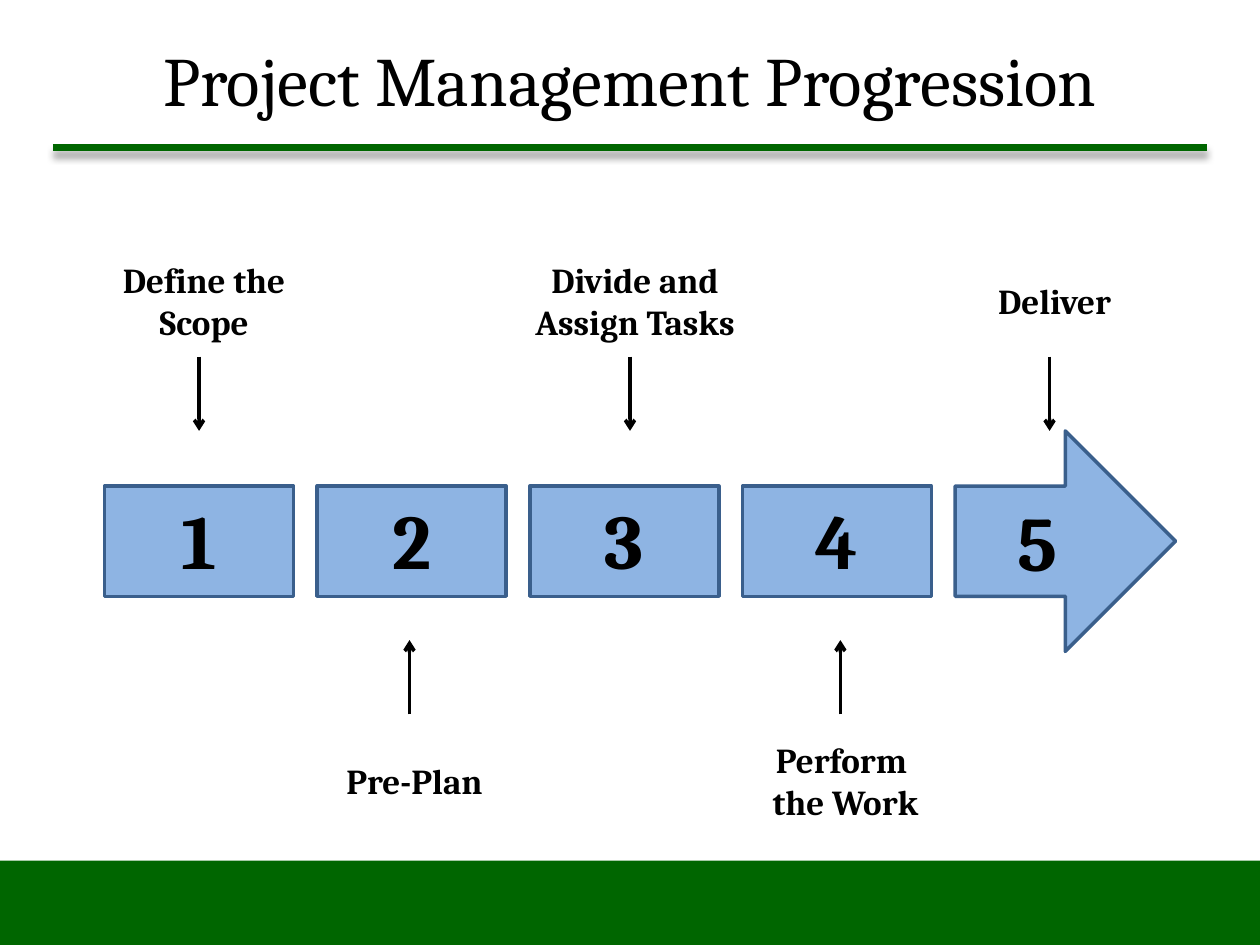
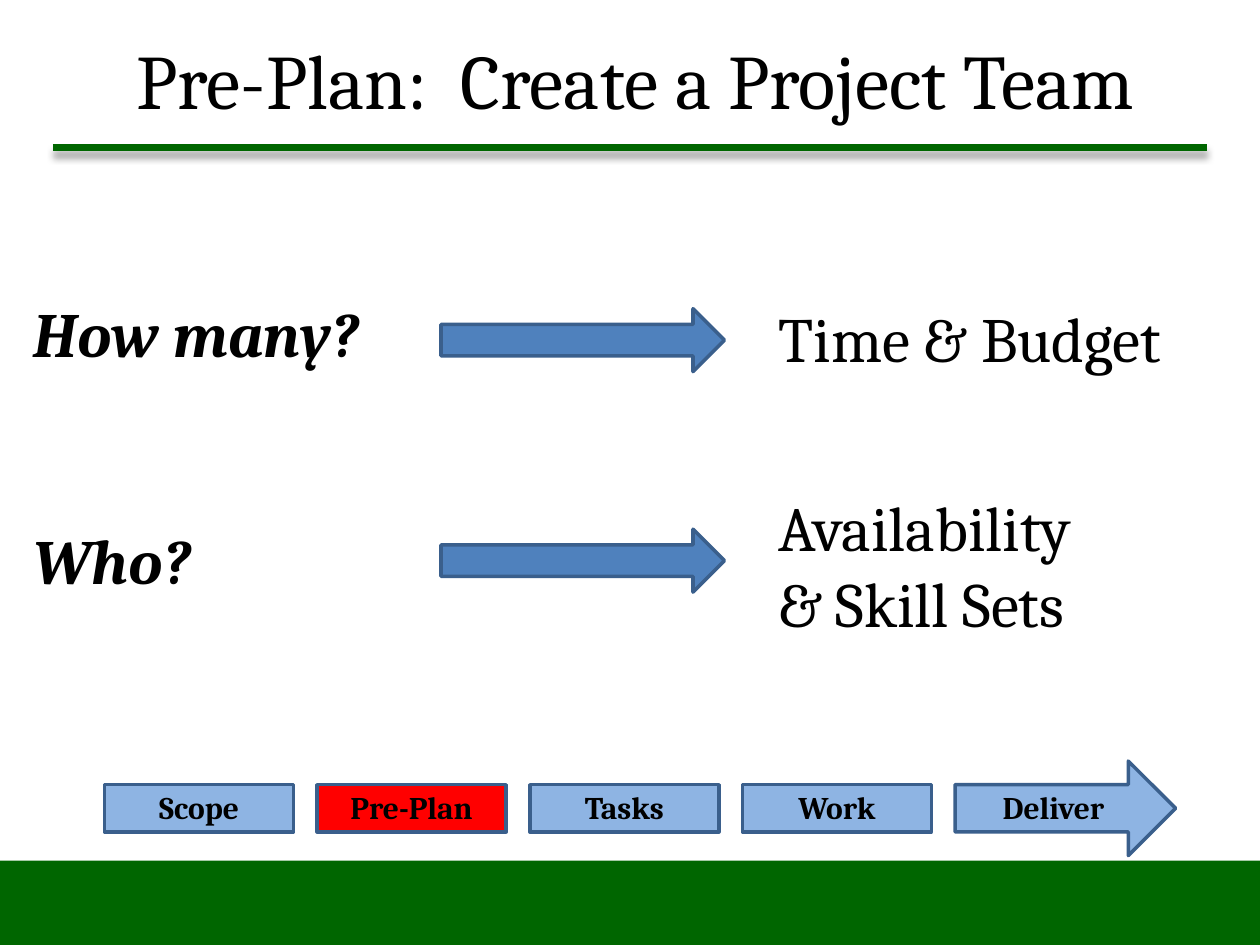
from dataclasses import dataclass

import lxml.etree
import pptx
import pptx.dml.color
import pptx.enum.shapes
import pptx.enum.text
import pptx.oxml
import pptx.oxml.ns
import pptx.util

Inches = pptx.util.Inches
Pt = pptx.util.Pt
Color = pptx.dml.color.RGBColor.from_string
Shape = pptx.enum.shapes.MSO_SHAPE
Align = pptx.enum.text.PP_ALIGN
Anchor = pptx.enum.text.MSO_ANCHOR
AutoSize = pptx.enum.text.MSO_AUTO_SIZE
qn = pptx.oxml.ns.qn


@dataclass(frozen=True)
class Theme:
    font: str = "Cambria"
    ink: str = "000000"
    green: str = "006600"
    step: str = "8EB4E3"
    current: str = "FF0000"
    arrow: str = "4F81BD"
    outline: str = "3A5F8C"
    title_size: float = 44
    number_size: float = 44
    body_size: float = 36
    label_size: float = 20
    step_size: float = 18
    outline_width: float = 2
    rule_width: float = 4


def write_text(frame, paragraphs, *, font, size, color, bold=False, italic=False,
               align=Align.LEFT, anchor=Anchor.TOP, gap=0):
    """Fill a text frame; gap is the space in points between paragraphs."""
    frame.word_wrap = True
    frame.vertical_anchor = anchor
    for index, text in enumerate(paragraphs):
        paragraph = frame.add_paragraph() if index else frame.paragraphs[0]
        paragraph.text = text
        paragraph.alignment = align
        paragraph.space_before = Pt(gap if index else 0)
        for run in paragraph.runs:
            run.font.name = font
            run.font.size = Pt(size)
            run.font.bold = bold
            run.font.italic = italic
            run.font.color.rgb = Color(color)


class Deck:
    STEP_LEFT, ARROW_LEFT = 0.83, 7.58
    STEP_WIDTH, ARROW_WIDTH = 1.5, 1.75

    def __init__(self, theme):
        self.theme = theme
        self.presentation = pptx.Presentation()
        self.presentation.slide_width = Inches(10)
        self.presentation.slide_height = Inches(7.5)
        self.slide = None

    def new_slide(self, title, left=0.5, width=9, size=None):
        self.slide = self.presentation.slides.add_slide(self.presentation.slide_layouts[6])
        self.text(left, 0, width, 1.25, [title], grow=False, anchor=Anchor.MIDDLE,
                  size=size or self.theme.title_size, align=Align.CENTER)
        # Footer band and title rule
        self.shape(Shape.RECTANGLE, 0, 6.83, 10, 0.67, self.theme.green, outlined=False)
        self.line(0.42, 1.17, 9.58, 1.17, self.theme.green, self.theme.rule_width, shadow=True)

    def format_text(self, frame, paragraphs, **style):
        write_text(frame, paragraphs, font=self.theme.font, color=self.theme.ink, **style)

    def text(self, left, top, width, height, paragraphs, grow=True, **style):
        box = self.slide.shapes.add_textbox(Inches(left), Inches(top), Inches(width), Inches(height))
        self.format_text(box.text_frame, paragraphs, **style)
        box.text_frame.auto_size = AutoSize.SHAPE_TO_FIT_TEXT if grow else AutoSize.NONE

    def shape(self, kind, left, top, width, height, fill, outlined=True, label=None, **style):
        shape = self.slide.shapes.add_shape(
            kind, Inches(left), Inches(top), Inches(width), Inches(height))
        shape.shadow.inherit = False
        shape.fill.solid()
        shape.fill.fore_color.rgb = Color(fill)
        if outlined:
            shape.line.color.rgb = Color(self.theme.outline)
            shape.line.width = Pt(self.theme.outline_width)
        else:
            shape.line.fill.background()
        if label:
            self.format_text(shape.text_frame, [label], **style)

    def line(self, x1, y1, x2, y2, color, width, arrow=False, shadow=False):
        line = self.slide.shapes.add_connector(
            pptx.enum.shapes.MSO_CONNECTOR.STRAIGHT,
            Inches(x1), Inches(y1), Inches(x2), Inches(y2))
        line.line.color.rgb = Color(color)
        line.line.width = Pt(width)
        if arrow:
            lxml.etree.SubElement(line.line._get_or_add_ln(), qn("a:tailEnd"), type="arrow")
        properties = line._element.spPr
        effects = lxml.etree.SubElement(properties, qn("a:effectLst"))
        if shadow:
            outer = lxml.etree.SubElement(
                effects, qn("a:outerShdw"), blurRad=str(Pt(4)), dist=str(Pt(4)),
                dir="5400000", rotWithShape="0")
            shade = lxml.etree.SubElement(outer, qn("a:srgbClr"), val=self.theme.ink)
            lxml.etree.SubElement(shade, qn("a:alpha"), val="35000")

    def step_row(self, top, height, labels, size, box_anchor, arrow_anchor, current=None):
        """Boxes ending in an arrow; each box is as tall as the arrow's shaft."""
        last = len(labels) - 1
        pitch = (self.ARROW_LEFT - self.STEP_LEFT) / last
        style = dict(size=size, bold=True, align=Align.CENTER)
        for index, label in enumerate(labels[:-1]):
            fill = self.theme.current if label == current else self.theme.step
            self.shape(Shape.RECTANGLE, self.STEP_LEFT + index * pitch, top + height / 4,
                       self.STEP_WIDTH, height / 2, fill, label=label,
                       anchor=box_anchor, **style)
        self.shape(Shape.RIGHT_ARROW, self.ARROW_LEFT, top, self.ARROW_WIDTH, height,
                   self.theme.step, label=labels[-1], anchor=arrow_anchor, **style)


def build_progression(deck):
    theme = deck.theme
    deck.new_slide("Project Management Progression", size=39.6)
    deck.step_row(3.42, 1.75, ["1", "2", "3", "4", "5"], theme.number_size,
                  Anchor.TOP, Anchor.MIDDLE)

    # Step names: left, top, height, paragraphs
    for left, top, height, paragraphs in [
        (0.58, 2, 0.77, ["Define the Scope"]),
        (2.25, 5.98, 0.44, ["Pre-Plan"]),
        (4, 2, 0.77, ["Divide and Assign Tasks"]),
        (5.67, 5.81, 0.77, ["Perform ", "the Work"]),
        (7.33, 2.17, 0.44, ["Deliver"]),
    ]:
        deck.text(left, top, 2.08, height, paragraphs, size=theme.label_size,
                  bold=True, align=Align.CENTER)

    # Pointers alternate between above and below the row
    for index, x in enumerate([1.58, 3.25, 5, 6.67, 8.33]):
        start, end = (5.67, 5.08) if index % 2 else (2.83, 3.42)
        deck.line(x, start, x, end, theme.ink, theme.outline_width, arrow=True)


def build_team(deck):
    theme = deck.theme
    deck.new_slide("Pre-Plan:  Create a Project Team", left=0.42, width=9.25)

    # Questions lead to the factors that answer them
    deck.text(0.17, 2.29, 4.17, 3.13, ["How many?", "Who?"], size=theme.body_size,
              bold=True, italic=True, gap=86.5)
    for top in (2.45, 4.2):
        deck.shape(Shape.RIGHT_ARROW, 3.5, top, 2.25, 0.5, theme.arrow)
    deck.text(6.08, 2.33, 3.92, 0.71, ["Time & Budget"], size=theme.body_size)
    deck.text(6.08, 3.83, 4.17, 1.31, ["Availability \n& Skill Sets"], size=theme.body_size)

    # Progress tracker
    deck.step_row(6.04, 0.75, ["Scope", "Pre-Plan", "Tasks", "Work", "Deliver"],
                  theme.step_size, Anchor.BOTTOM, Anchor.BOTTOM, current="Pre-Plan")


def main():
    deck = Deck(Theme())
    build_progression(deck)
    build_team(deck)
    deck.presentation.save("out.pptx")


if __name__ == "__main__":
    main()
